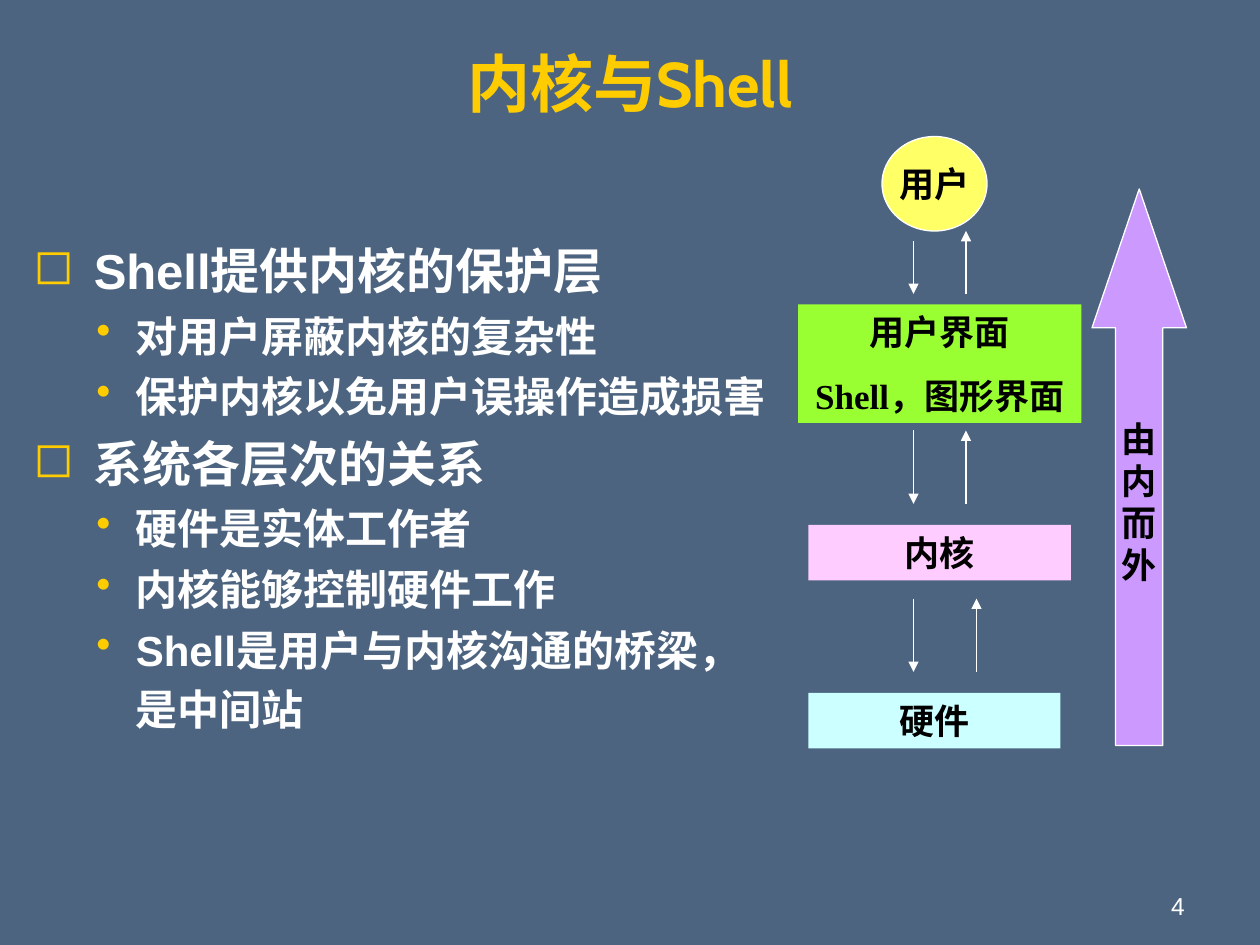
from lxml.etree import SubElement
from pptx import Presentation
from pptx.dml.color import RGBColor
from pptx.enum.shapes import MSO_CONNECTOR, MSO_SHAPE
from pptx.enum.text import MSO_ANCHOR, PP_ALIGN
from pptx.oxml.ns import qn
from pptx.util import Pt

BACKGROUND, WHITE, BLACK, GOLD = "4D6480", "FFFFFF", "000000", "FFCC00"

TITLE = "内核与Shell"
PAGE_NUMBER = "4"

# style name, text
OUTLINE = [
    ("heading", "Shell提供内核的保护层"),
    ("point", "对用户屏蔽内核的复杂性"),
    ("point", "保护内核以免用户误操作造成损害"),
    ("heading", "系统各层次的关系"),
    ("point", "硬件是实体工作者"),
    ("point", "内核能够控制硬件工作"),
    ("point", "Shell是用户与内核沟通的桥梁，"),
    ("continuation", "是中间站"),
]
# level, size, left margin, first-line indent, space before, bullet
OUTLINE_STYLES = {
    "heading": (0, 28, 34.5, -34.5, 7, "◻"),
    "point": (1, 24, 58.5, -22.5, 6, "•"),
    "continuation": (1, 24, 58.5, 0, 5, None),
}

# text, (left, top, width, height), fill
LAYERS = [
    ("用户界面\nShell，图形界面", (456, 174, 162, 67.68), "99FF33"),
    ("内核", (462, 300, 150, 31.68), "FFCCFF"),
    ("硬件", (462, 396, 144, 31.68), "CCFFFF"),
]
USER = ("用户", (504, 78, 60, 54), "FFFF66")
DIRECTION = ("由\n内\n而\n外", (624, 108, 54, 318), "CC99FF")

DOWN_X = 522
# top and bottom of the down arrow, then x, bottom and top of the up arrow
EXCHANGES = [
    ((138, 168), (552, 168, 132)),
    ((246, 288), (552, 288, 246)),
    ((342, 384), (558, 384, 342)),
]


def color(value):
    return RGBColor.from_string(value)


def style_paragraph(paragraph, size, font_name, font_color, bold=True, align=None):
    paragraph.alignment = align
    for run in paragraph.runs:
        font = run.font
        font.size, font.name, font.bold = Pt(size), font_name, bold
        font.color.rgb = color(font_color)


def add_text_box(slide, box, text, anchor):
    text_frame = slide.shapes.add_textbox(*map(Pt, box)).text_frame
    text_frame.word_wrap = True
    text_frame.vertical_anchor = anchor
    text_frame.text = text
    return text_frame


def add_outline(slide):
    text = "\n".join(text for _, text in OUTLINE)
    text_frame = add_text_box(slide, (12, 134, 438.5, 317.5), text, MSO_ANCHOR.TOP)
    for index, (style, _) in enumerate(OUTLINE):
        level, size, margin, indent, space, bullet = OUTLINE_STYLES[style]
        paragraph = text_frame.paragraphs[index]
        paragraph.level = level
        properties = paragraph._p.get_or_add_pPr()
        properties.set("marL", str(Pt(margin)))
        properties.set("indent", str(Pt(indent)))
        if bullet:
            bullet_color = SubElement(properties, qn("a:buClr"))
            SubElement(bullet_color, qn("a:srgbClr"), val=GOLD)
            SubElement(properties, qn("a:buChar"), char=bullet)
        else:
            SubElement(properties, qn("a:buNone"))
        if index:
            paragraph.space_before = Pt(space)
        style_paragraph(paragraph, size, "Arial", WHITE)


def add_labelled_shape(slide, kind, label, box, fill, outlined, space=0):
    """Outlined shapes centre their text vertically and do not wrap it."""
    shape = slide.shapes.add_shape(kind, *map(Pt, box))
    shape.shadow.inherit = False
    shape.fill.solid()
    shape.fill.fore_color.rgb = color(fill)
    if outlined:
        shape.line.color.rgb = color(WHITE)
        shape.line.width = Pt(0.75)
    else:
        shape.line.fill.background()
    text_frame = shape.text_frame
    text_frame.word_wrap = not outlined
    text_frame.vertical_anchor = MSO_ANCHOR.MIDDLE if outlined else MSO_ANCHOR.TOP
    text_frame.text = label
    for index, paragraph in enumerate(text_frame.paragraphs):
        if index and space:
            paragraph.space_before = Pt(space)
        style_paragraph(paragraph, 20, "Times New Roman", BLACK, align=PP_ALIGN.CENTER)
    return shape


def add_arrow(slide, x, start, end):
    connector = slide.shapes.add_connector(
        MSO_CONNECTOR.STRAIGHT, Pt(x), Pt(start), Pt(x), Pt(end))
    connector.line.color.rgb = color(WHITE)
    connector.line.width = Pt(0.75)
    SubElement(connector.line._get_or_add_ln(), qn("a:tailEnd"), type="triangle")
    SubElement(connector._element.spPr, qn("a:effectLst"))


def main():
    presentation = Presentation()
    presentation.slide_width, presentation.slide_height = Pt(720), Pt(540)
    slide = presentation.slides.add_slide(presentation.slide_layouts[6])
    slide.background.fill.solid()
    slide.background.fill.fore_color.rgb = color(BACKGROUND)

    title = add_text_box(slide, (36, 23, 648, 48), TITLE, MSO_ANCHOR.MIDDLE)
    style_paragraph(title.paragraphs[0], 36, "Cabin", GOLD, align=PP_ALIGN.CENTER)
    number = add_text_box(slide, (516, 492, 168, 37.5), PAGE_NUMBER, MSO_ANCHOR.BOTTOM)
    style_paragraph(number.paragraphs[0], 14, "Arial", WHITE, False, PP_ALIGN.RIGHT)
    add_outline(slide)

    add_labelled_shape(slide, MSO_SHAPE.OVAL, *USER, outlined=True)
    for layer in LAYERS:
        add_labelled_shape(slide, MSO_SHAPE.RECTANGLE, *layer, outlined=False, space=12.5)
    for down, up in EXCHANGES:
        add_arrow(slide, DOWN_X, *down)
        add_arrow(slide, *up)
    direction = add_labelled_shape(slide, MSO_SHAPE.UP_ARROW, *DIRECTION, outlined=True)
    direction.adjustments[0] = 0.5
    direction.adjustments[1] = 1.47

    presentation.save("out.pptx")


if __name__ == "__main__":
    main()
